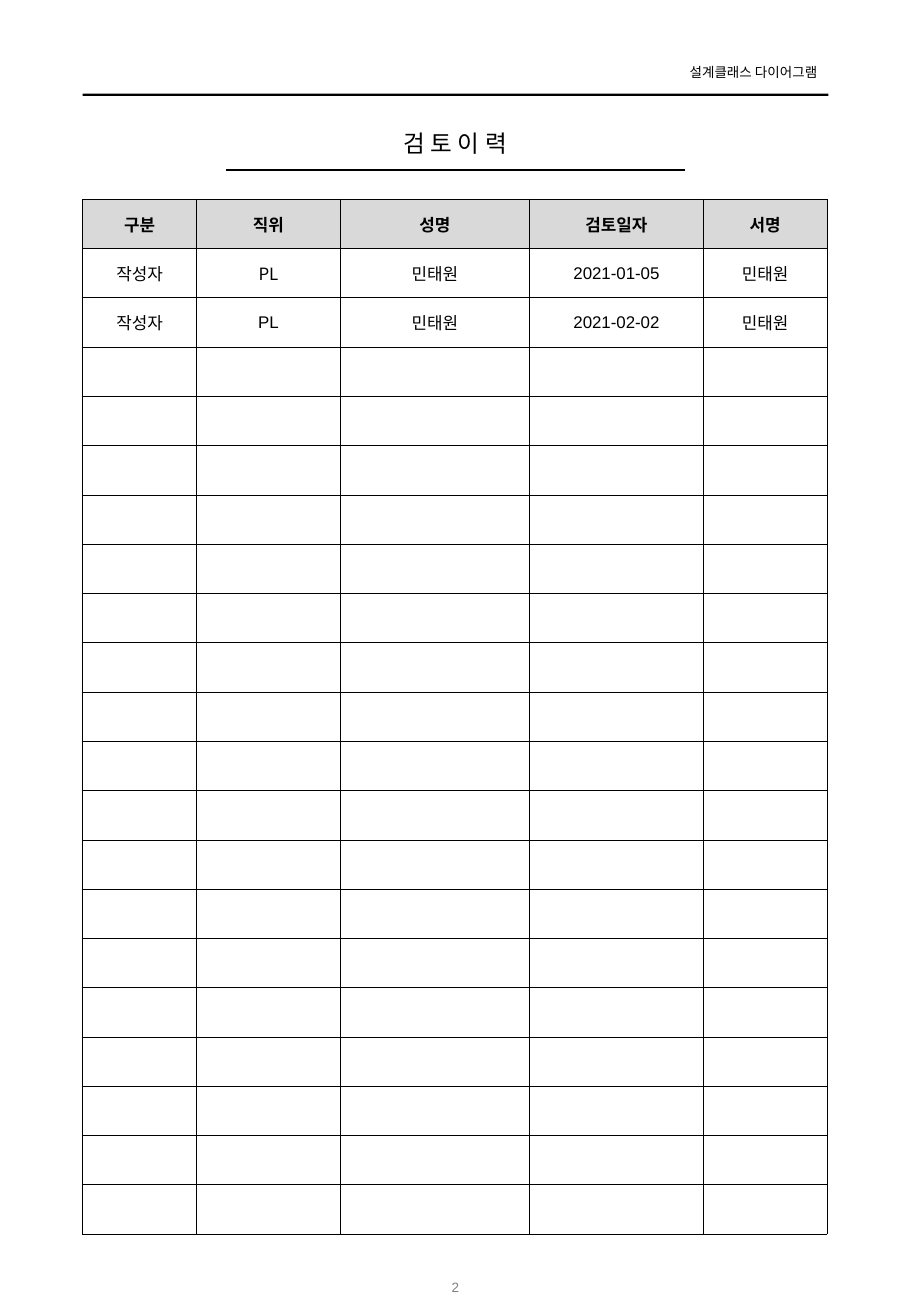
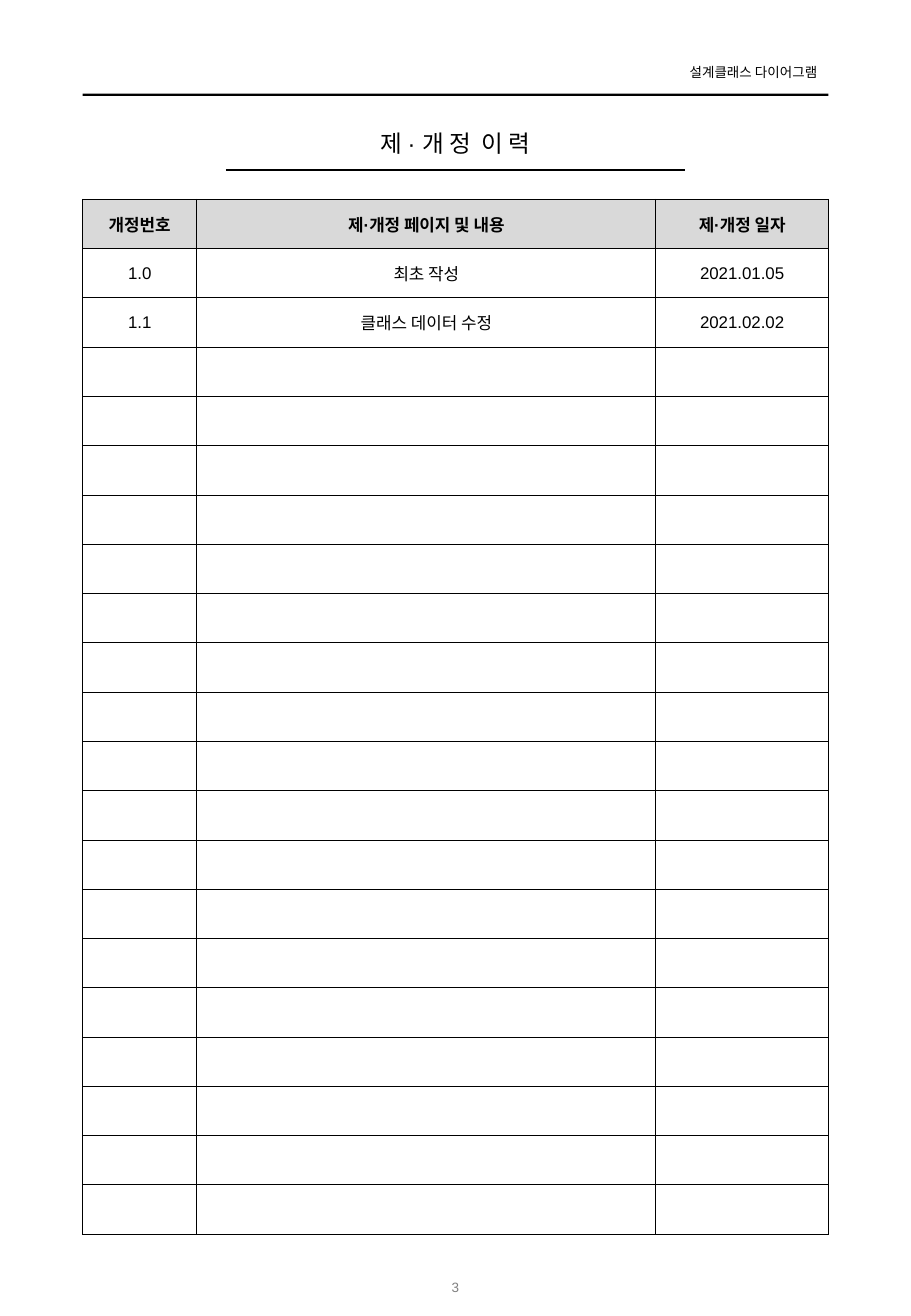
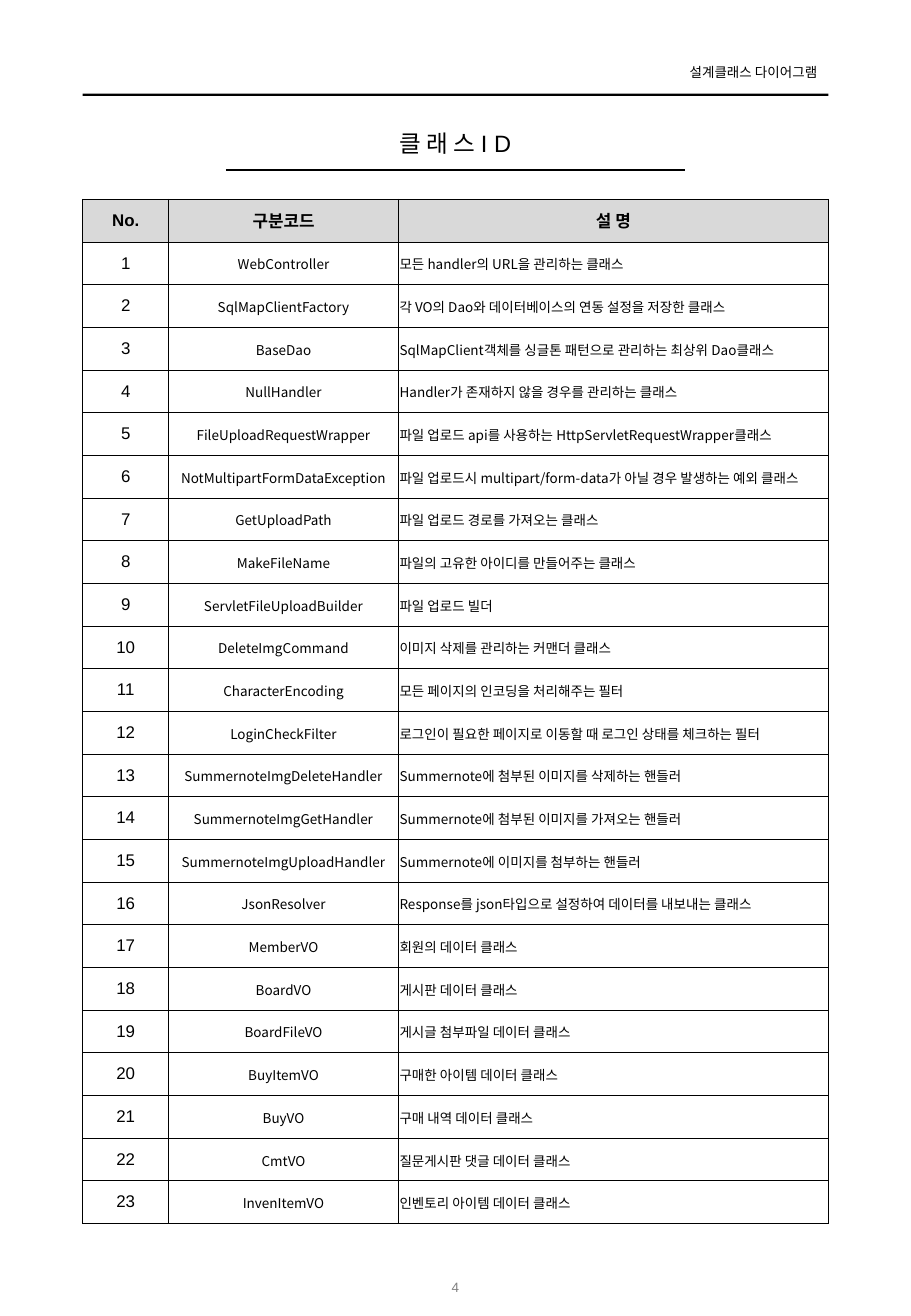
from lxml.etree import SubElement
from pptx import Presentation
from pptx.dml.color import RGBColor
from pptx.enum.shapes import MSO_CONNECTOR, MSO_SHAPE
from pptx.enum.text import MSO_ANCHOR, MSO_AUTO_SIZE, PP_ALIGN
from pptx.oxml.ns import qn
from pptx.util import Inches, Pt

BLACK, GRAY, HEADING_FILL = "000000", "808080", "D9D9D9"
ARIAL, NOTO = "Arial", "Noto Sans CJK KR"
LEFT, WIDTH, TABLE_TOP = 0.68, 6.14, 1.64
RUNNING_HEAD = "설계클래스 다이어그램"
FIRST_PAGE = 2

CLASSES = [
    ("WebController", "모든 handler의 URL을 관리하는 클래스"),
    ("SqlMapClientFactory", "각 VO의 Dao와 데이터베이스의 연동 설정을 저장한 클래스"),
    ("BaseDao", "SqlMapClient객체를 싱글톤 패턴으로 관리하는 최상위 Dao클래스"),
    ("NullHandler", "Handler가 존재하지 않을 경우를 관리하는 클래스"),
    ("FileUploadRequestWrapper", "파일 업로드 api를 사용하는 HttpServletRequestWrapper클래스"),
    ("NotMultipartFormDataException", "파일 업로드시 multipart/form-data가 아닐 경우 발생하는 예외 클래스"),
    ("GetUploadPath", "파일 업로드 경로를 가져오는 클래스"),
    ("MakeFileName", "파일의 고유한 아이디를 만들어주는 클래스"),
    ("ServletFileUploadBuilder", "파일 업로드 빌더"),
    ("DeleteImgCommand", "이미지 삭제를 관리하는 커맨더 클래스"),
    ("CharacterEncoding", "모든 페이지의 인코딩을 처리해주는 필터"),
    ("LoginCheckFilter", "로그인이 필요한 페이지로 이동할 때 로그인 상태를 체크하는 필터"),
    ("SummernoteImgDeleteHandler", "Summernote에 첨부된 이미지를 삭제하는 핸들러"),
    ("SummernoteImgGetHandler", "Summernote에 첨부된 이미지를 가져오는 핸들러"),
    ("SummernoteImgUploadHandler", "Summernote에 이미지를 첨부하는 핸들러"),
    ("JsonResolver", "Response를 json타입으로 설정하여 데이터를 내보내는 클래스"),
    ("MemberVO", "회원의 데이터 클래스"),
    ("BoardVO", "게시판 데이터 클래스"),
    ("BoardFileVO", "게시글 첨부파일 데이터 클래스"),
    ("BuyItemVO", "구매한 아이템 데이터 클래스"),
    ("BuyVO", "구매 내역 데이터 클래스"),
    ("CmtVO", "질문게시판 댓글 데이터 클래스"),
    ("InvenItemVO", "인벤토리 아이템 데이터 클래스"),
]

PAGES = [
    {
        "title": "검 토 이 력",
        "columns": [("구분", 0.94), ("직위", 1.18), ("성명", 1.56), ("검토일자", 1.43), ("서명", 1.02)],
        "entries": [
            ("작성자", "PL", "민태원", "2021-01-05", "민태원"),
            ("작성자", "PL", "민태원", "2021-02-02", "민태원"),
        ],
        "row_count": 21, "height": 8.52,
        "noto_cells": {(1, 1), (1, 2), (2, 0)}, "compact_columns": {},
    },
    {
        "title": "제 · 개 정  이 력",
        "columns": [("개정번호", 0.94), ("제·개정 페이지 및 내용", 3.78), ("제·개정 일자", 1.42)],
        "entries": [
            ("1.0", "최초 작성", "2021.01.05"),
            ("1.1", "클래스 데이터 수정", "2021.02.02"),
        ],
        "row_count": 21, "height": 8.52,
        "noto_cells": set(), "compact_columns": {},
    },
    {
        "title": "클 래 스 I D",
        "columns": [("No.", 0.71), ("구분코드", 1.89), ("설 명", 3.54)],
        "entries": [(str(number), *entry) for number, entry in enumerate(CLASSES, 1)],
        "row_count": 24, "height": 8.43,
        "noto_cells": set(), "compact_columns": {1: PP_ALIGN.CENTER, 2: PP_ALIGN.LEFT},
    },
]


def rgb(color):
    return RGBColor.from_string(color)


def write(frame, text, size, align=PP_ALIGN.CENTER, font=ARIAL, color=BLACK, bold=False):
    paragraph = frame.paragraphs[0]
    paragraph.text = text
    paragraph.alignment = align
    paragraph.font.name = font
    paragraph.font.size = Pt(size)
    paragraph.font.bold = bold
    paragraph.font.color.rgb = rgb(color)
    defaults = paragraph._p.get_or_add_pPr().get_or_add_defRPr()
    SubElement(defaults, qn("a:ea"), typeface=NOTO)


def add_text(slide, place, text, size, insets=(0.1, 0.05, 0.1, 0.05), wrap=True, grow=True,
             anchor=MSO_ANCHOR.TOP, **style):
    frame = slide.shapes.add_textbox(*map(Inches, place)).text_frame
    frame.margin_left, frame.margin_top, frame.margin_right, frame.margin_bottom = map(Inches, insets)
    frame.word_wrap = wrap
    frame.auto_size = MSO_AUTO_SIZE.SHAPE_TO_FIT_TEXT if grow else MSO_AUTO_SIZE.NONE
    frame.vertical_anchor = anchor
    write(frame, text, size, **style)


def add_page_frame(slide, title, page_number):
    band = slide.shapes.add_shape(MSO_SHAPE.RECTANGLE, Inches(LEFT), Inches(0.77), Inches(WIDTH), Inches(0.02))
    band.shadow.inherit = False
    band.fill.solid()
    band.fill.fore_color.rgb = rgb(BLACK)
    band.line.fill.background()
    add_text(slide, (5.47, 0.48, 1.34, 0.24), RUNNING_HEAD, 8, insets=(0.1, 0.05, 0.08, 0.05),
             wrap=False, align=PP_ALIGN.RIGHT)
    underline = slide.shapes.add_connector(
        MSO_CONNECTOR.STRAIGHT, Inches(1.86), Inches(1.4), Inches(5.64), Inches(1.4))
    underline.line.color.rgb = rgb(BLACK)
    underline.line.width = Pt(1)
    SubElement(underline._element.spPr, qn("a:effectLst"))
    add_text(slide, (LEFT, 1.01, WIDTH, 0.34), title, 14, insets=(0, 0.05, 0, 0.05))
    add_text(slide, (3.28, 10.39, 0.94, 0.4), str(page_number), 8, grow=False,
             anchor=MSO_ANCHOR.MIDDLE, color=GRAY)


def add_borders(cell):
    properties = cell._tc.get_or_add_tcPr()
    for side in ("a:lnL", "a:lnR", "a:lnT", "a:lnB"):
        border = SubElement(properties, qn(side), w=str(Pt(0.5)))
        SubElement(SubElement(border, qn("a:solidFill")), qn("a:srgbClr"), val=BLACK)


def add_history_table(slide, page):
    columns, entries = page["columns"], page["entries"]
    table = slide.shapes.add_table(page["row_count"], len(columns), Inches(LEFT), Inches(TABLE_TOP),
                                   Inches(WIDTH), Inches(page["height"])).table
    table.first_row = table.horz_banding = False
    for column, (_, width) in zip(table.columns, columns):
        column.width = Inches(width)
    blanks = [("",) * len(columns)] * (page["row_count"] - 1 - len(entries))
    for row, texts in enumerate([[heading for heading, _ in columns], *entries, *blanks]):
        for col, text in enumerate(texts):
            cell = table.cell(row, col)
            cell.vertical_anchor = MSO_ANCHOR.MIDDLE
            add_borders(cell)
            if row == 0:
                cell.fill.solid()
                cell.fill.fore_color.rgb = rgb(HEADING_FILL)
            else:
                cell.fill.background()
            if row and col in page["compact_columns"]:
                cell.margin_left = cell.margin_top = cell.margin_right = Inches(0.01)
                cell.margin_bottom = 0
                write(cell.text_frame, text, 8, align=page["compact_columns"][col], font=NOTO)
            else:
                font = NOTO if (row, col) in page["noto_cells"] else ARIAL
                write(cell.text_frame, text, 10, font=font, bold=row == 0)


def main():
    """Build the review history, revision history and class list pages."""
    deck = Presentation()
    deck.slide_width, deck.slide_height = Inches(7.5), Inches(10.83)
    for page_number, page in enumerate(PAGES, FIRST_PAGE):
        slide = deck.slides.add_slide(deck.slide_layouts[6])
        add_page_frame(slide, page["title"], page_number)
        add_history_table(slide, page)
    deck.save("out.pptx")


if __name__ == "__main__":
    main()
